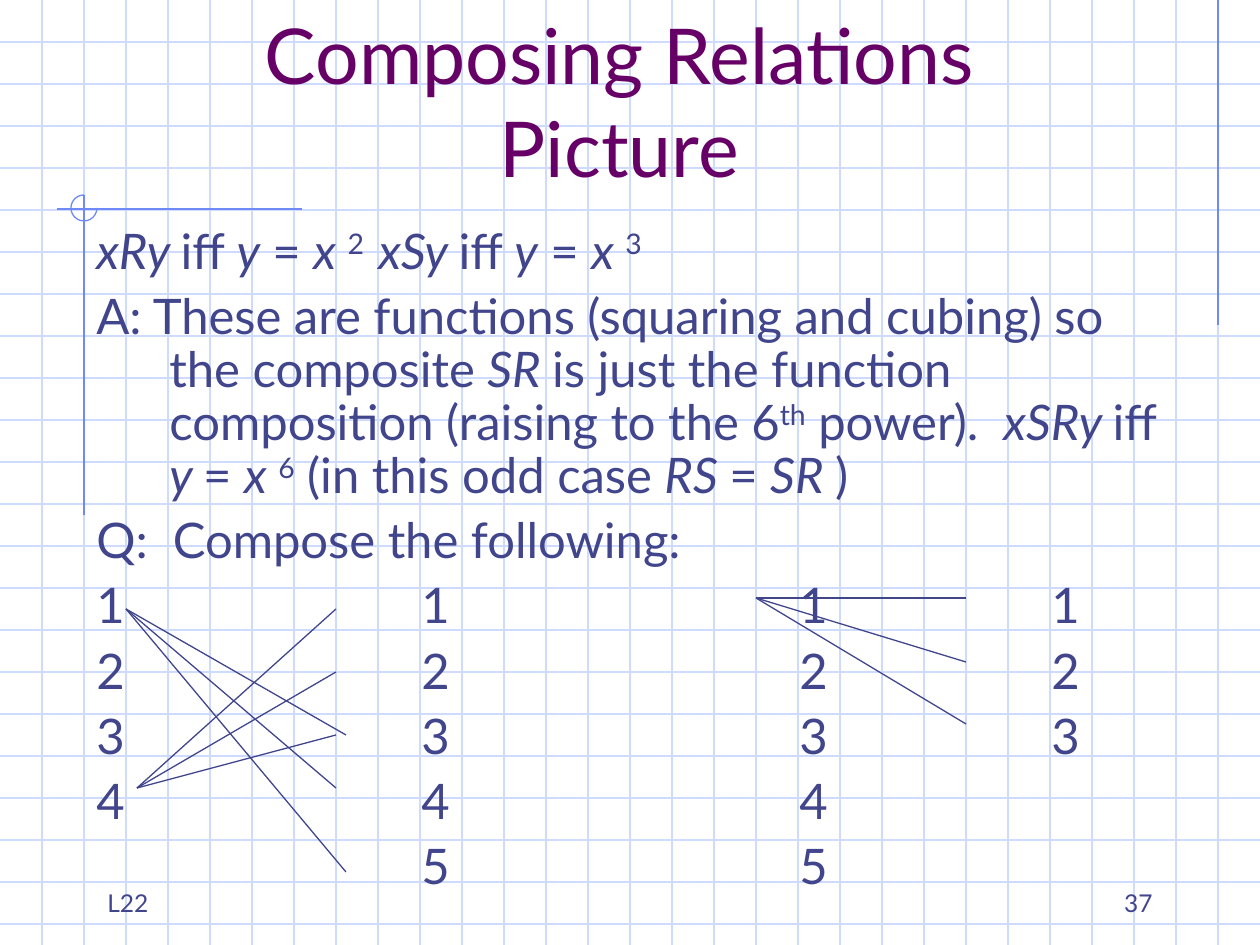
from lxml.etree import SubElement
from pptx import Presentation
from pptx.dml.color import RGBColor
from pptx.enum.shapes import MSO_CONNECTOR as Connector, MSO_SHAPE as Shape
from pptx.enum.text import MSO_ANCHOR as Anchor, PP_ALIGN as Align
from pptx.oxml.ns import qn
from pptx.util import Emu, Inches, Pt

# Content: runs are (text, style), style "" plain, "i" italic, "sup" raised
TITLE = ["Composing Relations", "Picture"]
STATEMENTS = [
    [("xRy ", "i"), ("iff ", ""), ("y", "i"), (" = ", ""), ("x ", "i"), ("2  ", "sup"),
     ("xSy ", "i"), ("iff ", ""), ("y", "i"), (" = ", ""), ("x ", "i"), ("3", "sup")],
    [("A: These are functions (squaring and cubing) so the composite ", ""),
     ("SR ", "i"), ("is just the function composition (raising to the 6", ""),
     ("th", "sup"), (" power).  ", ""), ("xSRy ", "i"), ("iff ", ""), ("y ", "i"),
     ("= ", ""), ("x ", "i"), ("6", "sup"), (" (in this odd case ", ""),
     ("RS ", "i"), ("= ", ""), ("SR ", "i"), (")", "")],
    [("Q:  Compose the following:", "")],
]
SETS = [(4, 0), (5, 3), (5, 3), (3, 2)]  # (number of elements, tabs before)
RELATIONS = [  # (start, ends) in px
    ((126, 609), [(336, 788), (346, 735), (346, 872)]),
    ((137, 788), [(336, 672), (336, 609), (336, 735)]),
    ((756, 598), [(966, 662), (966, 598), (966, 724)]),
]
MARGIN_RULES = [((1218, 0), (1218, 325)), ((302, 209), (57, 209)), ((84, 195), (84, 515))]
FOOTERS = [("37", (903, 861, 262, 63), Align.RIGHT), ("L22", (95, 861, 262, 63), Align.LEFT)]

WIDTH, HEIGHT, GRID = 1260, 945, 42
TAB_STEP, TAB_COUNT, HANG = Inches(1), 8, 73


class Theme:
    font = "Lato"
    title, text, grid, rule = "660066", "40458C", "CFDBFD", "6F89F7"
    title_size, body_size, footer_size, line_width = 44, 28, 14, 0.75


def px(value):
    return Emu(round(value * 914400 / 126))


def style_line(shape, color):
    shape.line.color.rgb = RGBColor.from_string(color)
    shape.line.width = Pt(Theme.line_width)


def add_line(start, end, color):
    line = slide.shapes.add_connector(Connector.STRAIGHT, *map(px, start + end))
    style_line(line, color)
    SubElement(line._element.spPr, qn("a:effectLst"))


def add_runs(paragraph, runs, size, color=Theme.text, align=Align.LEFT):
    paragraph.alignment = align
    for text, style in runs:
        if text == "\n":
            paragraph.add_line_break()
            continue
        run = paragraph.add_run()
        run.text = text
        run.font.name, run.font.size = Theme.font, Pt(size)
        run.font.color.rgb = RGBColor.from_string(color)
        run.font.italic = style == "i"
        if style == "sup":
            run.font._element.set("baseline", "30000")


def set_hanging_tabs(paragraph):
    properties = paragraph._p.get_or_add_pPr()
    properties.set("marL", str(px(HANG)))
    properties.set("indent", str(px(-HANG)))
    properties.set("defTabSz", str(TAB_STEP))
    SubElement(properties, qn("a:buNone"))
    tabs = SubElement(properties, qn("a:tabLst"))
    for step in range(TAB_COUNT):
        SubElement(tabs, qn("a:tab"), pos=str(step * TAB_STEP), algn="l")


def write(shape, paragraphs, anchor=Anchor.TOP, hanging=False, **run_format):
    frame = shape.text_frame
    frame.word_wrap, frame.vertical_anchor = True, anchor
    for index, runs in enumerate(paragraphs):
        paragraph = frame.add_paragraph() if index else frame.paragraphs[0]
        if hanging:
            set_hanging_tabs(paragraph)
            paragraph.line_spacing = 0.9
            paragraph.space_before = Pt(7 if index else 0)
        add_runs(paragraph, runs, **run_format)


def add_text(box, paragraphs, **text_format):
    write(slide.shapes.add_textbox(*map(px, box)), paragraphs, **text_format)


def set_row(number):
    cells = ["\t" * tabs + (str(number) if number <= count else "") for count, tabs in SETS]
    return "".join(cells).rstrip()


deck = Presentation()
deck.slide_width, deck.slide_height = px(WIDTH), px(HEIGHT)
slide = deck.slides.add_slide(deck.slide_layouts[5])

# Graph paper
for y in range(GRID, HEIGHT, GRID):
    add_line((0, y), (WIDTH, y), Theme.grid)
for x in range(GRID, WIDTH, GRID):
    add_line((x, 0), (x, HEIGHT), Theme.grid)

# Margin rules and the three-quarter ring at their crossing
for start, end in MARGIN_RULES:
    add_line(start, end, Theme.rule)
ring = slide.shapes.add_shape(Shape.ARC, *map(px, (71, 195, 26, 26)))
ring.adjustments[0], ring.adjustments[1] = 0, 162  # 0 to 270 degrees
ring.shadow.inherit = False
ring.fill.background()
style_line(ring, Theme.rule)

# Title, brought in front of the graph paper
title = slide.shapes.title
title.left, title.top, title.width, title.height = map(px, (84, 42, 1071, 157))
write(title, [[(TITLE[0], ""), ("\n", ""), (TITLE[1], "")]], anchor=Anchor.BOTTOM,
      size=Theme.title_size, color=Theme.title, align=Align.CENTER)
slide.shapes._spTree.append(title._element)

# Statements and the rows of set elements
rows = [[(set_row(number), "")] for number in range(1, 6)]
add_text((84, 221, 1113, 693), STATEMENTS + rows, hanging=True, size=Theme.body_size)

# Relation lines
for start, ends in RELATIONS:
    for end in ends:
        add_line(start, end, Theme.text)

# Footer
for text, box, align in FOOTERS:
    add_text(box, [[(text, "")]], anchor=Anchor.BOTTOM, size=Theme.footer_size, align=align)

deck.save("out.pptx")
